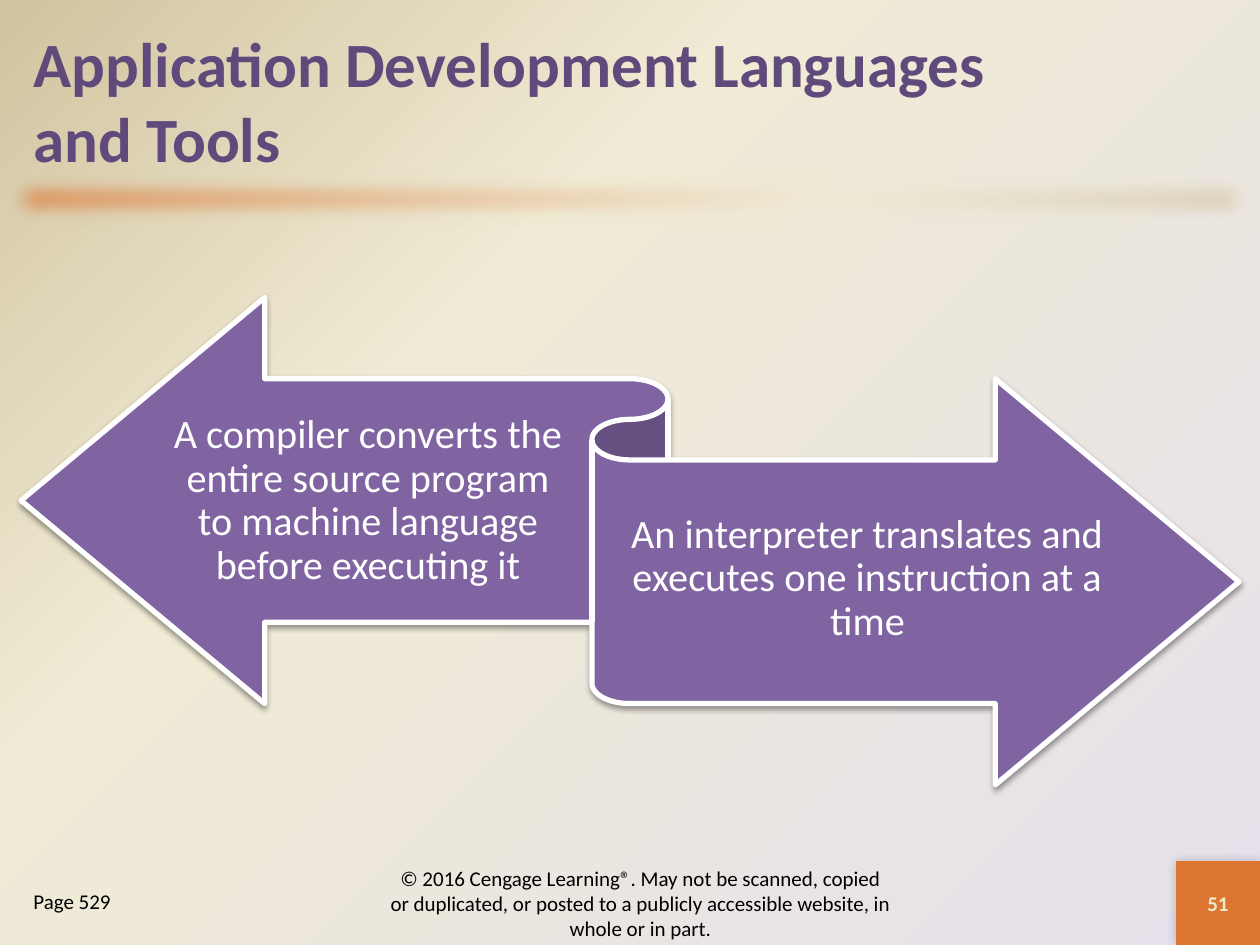
from lxml import etree
from pptx import Presentation
from pptx.dml.color import RGBColor
from pptx.enum import shapes, text
from pptx.oxml import ns
from pptx.util import Pt

THEME = {
    "font": "Calibri",
    "title": "604A7B", "ribbon": "8064A2", "orange": "DB7531", "number": "EEEBCA",
    "black": "000000", "white": "FFFFFF",
    "title_size": 36, "ribbon_size": 23, "small_size": 12,
    "background": [(0, "E6E0EC"), (65, "F0EBD5"), (100, "D1C39F")],
    "band": [(0, "DB7531"), (65, "F0EBD5"), (100, "D1C39F")],
}
WIDTH, HEIGHT = 720, 540
MARGIN = 12
SQUARE = 48

TITLE = "Application Development Languages \vand Tools"
PAGE = "Page 529"
NUMBER = "51"
COPYRIGHT = ("© 2016 Cengage Learning®. May not be scanned, copied or duplicated, "
             "or posted to a publicly accessible website, in whole or in part.")
RIBBON_BOX = (MARGIN, 170, WIDTH - 2 * MARGIN, 278.5)
RIBBON_TEXTS = [
    ("A compiler converts the entire source program to machine language before executing it",
     (95.5, 218.5, 230, 136)),
    ("An interpreter translates and executes one instruction at a time",
     (360, 263, 271.5, 136)),
]


def color(name):
    return RGBColor.from_string(THEME[name])


def add_xml(parent, tag, **attributes):
    return etree.SubElement(parent, ns.qn("a:" + tag),
                            {key: str(value) for key, value in attributes.items()})


def set_gradient(gradient, stops):
    for child in list(gradient):
        gradient.remove(child)
    stop_list = add_xml(gradient, "gsLst")
    for position, value in stops:
        add_xml(add_xml(stop_list, "gs", pos=position * 1000), "srgbClr", val=value)


def effects(shape):
    shape.shadow.inherit = False
    return shape.element.spPr.find(ns.qn("a:effectLst"))


def add_shadow(shape, blur, distance, angle, opacity):
    shadow = add_xml(effects(shape), "outerShdw", blurRad=Pt(blur), dist=Pt(distance),
                     dir=angle * 60000, algn="ctr", rotWithShape=0)
    add_xml(add_xml(shadow, "srgbClr", val=THEME["black"]), "alpha", val=opacity * 1000)


def add_shape(slide, kind, box):
    shape = slide.shapes.add_shape(kind, *map(Pt, box))
    shape.line.fill.background()
    return shape


def write(shape, content, size, ink, bold=False, align=text.PP_ALIGN.CENTER,
          anchor=text.MSO_ANCHOR.MIDDLE):
    frame = shape.text_frame
    frame.text = content
    frame.word_wrap = True
    frame.auto_size = text.MSO_AUTO_SIZE.NONE
    frame.vertical_anchor = anchor
    paragraph = frame.paragraphs[0]
    paragraph.alignment = align
    for run in paragraph.runs:
        run.font.name = THEME["font"]
        run.font.size = Pt(THEME[size])
        run.font.bold = bold
        run.font.color.rgb = color(ink)
    return frame


def add_text(slide, box, *args, **options):
    return write(slide.shapes.add_textbox(*map(Pt, box)), *args, **options)


def add_background(slide):
    slide.background.fill.gradient()
    gradient = slide.element.find(".//" + ns.qn("a:gradFill"))
    set_gradient(gradient, THEME["background"])
    circle = add_xml(gradient, "path", path="circle")
    add_xml(circle, "fillToRect", l=100000, t=100000)


def add_band(slide):
    band = add_shape(slide, shapes.MSO_SHAPE.RECTANGLE, (0, 96, WIDTH, 36))
    band.fill.gradient()
    gradient = band.element.spPr.find(ns.qn("a:gradFill"))
    set_gradient(gradient, THEME["band"])
    add_xml(gradient, "lin", ang=45 * 60000, scaled=1)
    add_xml(effects(band), "softEdge", rad=Pt(12.5))


def add_title(slide):
    title = slide.shapes.title
    title.left, title.top, title.width, title.height = map(
        Pt, (MARGIN, MARGIN, WIDTH - 2 * MARGIN, 90))
    write(title, TITLE, "title_size", "title", bold=True, align=text.PP_ALIGN.LEFT)


def add_footer(slide):
    square = add_shape(slide, shapes.MSO_SHAPE.RECTANGLE,
                       (WIDTH - SQUARE, HEIGHT - SQUARE, SQUARE, SQUARE))
    square.fill.solid()
    square.fill.fore_color.rgb = color("orange")
    add_shadow(square, 6, 0, 225, 20)
    write(square, NUMBER, "small_size", "number", bold=True)
    add_text(slide, (216, 498, 300, 36), COPYRIGHT, "small_size", "black")
    add_text(slide, (MARGIN, 504, 132, 36), PAGE, "small_size", "black",
             align=text.PP_ALIGN.LEFT, anchor=text.MSO_ANCHOR.TOP)


def add_ribbon(slide):
    ribbon = add_shape(slide, shapes.MSO_SHAPE.LEFT_RIGHT_RIBBON, RIBBON_BOX)
    ribbon.fill.solid()
    ribbon.fill.fore_color.rgb = color("ribbon")
    ribbon.line.color.rgb = color("white")
    ribbon.line.width = Pt(3)
    add_shadow(ribbon, 3.1, 1.6, 90, 38)
    for content, box in RIBBON_TEXTS:
        frame = add_text(slide, box, content, "ribbon_size", "white")
        frame.margin_left = frame.margin_right = 0
        frame.margin_top, frame.margin_bottom = Pt(6.5), Pt(7)
        frame.paragraphs[0].line_spacing = 0.9


def main():
    presentation = Presentation()
    presentation.slide_width, presentation.slide_height = Pt(WIDTH), Pt(HEIGHT)
    slide = presentation.slides.add_slide(presentation.slide_layouts[5])
    add_background(slide)
    add_band(slide)
    add_title(slide)
    add_footer(slide)
    add_ribbon(slide)
    presentation.save("out.pptx")


if __name__ == "__main__":
    main()
